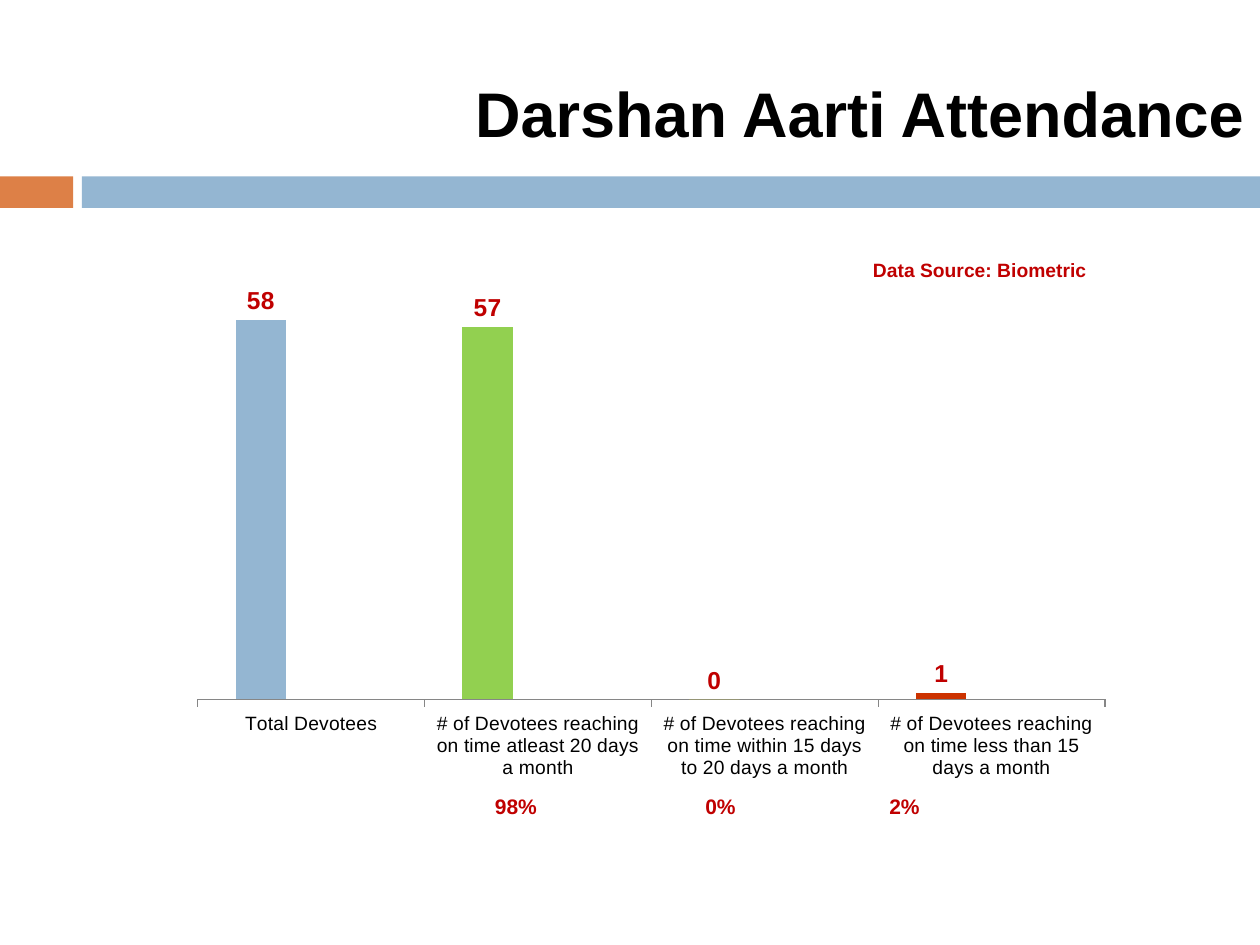
from pptx import Presentation
from pptx.chart.data import CategoryChartData
from pptx.dml.color import RGBColor
from pptx.enum.chart import XL_CHART_TYPE, XL_LABEL_POSITION, XL_TICK_MARK
from pptx.enum.shapes import MSO_SHAPE
from pptx.enum.text import MSO_ANCHOR, PP_ALIGN
from pptx.util import Inches, Pt

BLACK = RGBColor(0, 0, 0)
GRAY = RGBColor(0x86, 0x86, 0x86)
BLUE = RGBColor(0x94, 0xB6, 0xD2)
ORANGE = RGBColor(0xDD, 0x80, 0x47)
SAGE = RGBColor(0xA5, 0xAB, 0x81)
GREEN = RGBColor(0x92, 0xD0, 0x50)
YELLOW = RGBColor(0xFF, 0xFF, 0x00)
RED = RGBColor(0xCC, 0x33, 0x00)
DARK = RGBColor(0xC0, 0, 0)


class Page:
    face = "Arial"

    def __init__(self, deck):
        self.slide = deck.slides.add_slide(deck.slide_layouts[5])
        self.shapes = self.slide.shapes

    def style(self, font, size, color, bold=False, face=face):
        font.name, font.size, font.bold = face, Pt(size), bold
        font.color.rgb = color

    def fill(self, part, color):
        part.fill.solid()
        part.fill.fore_color.rgb = color

    def add_text(self, box, text, size, color):
        frame = box.text_frame
        frame.word_wrap = False
        para = frame.paragraphs[0]
        para.alignment = PP_ALIGN.LEFT
        run = para.add_run()
        run.text = text
        self.style(run.font, size, color, True)

    def title(self, text, x, y, w, h):
        box = self.shapes.title
        box.left, box.top, box.width, box.height = map(Inches, (x, y, w, h))
        box.text_frame.vertical_anchor = MSO_ANCHOR.MIDDLE
        self.add_text(box, text, 36, BLACK)

    def band(self, color, x, w):
        bar = self.shapes.add_shape(
            MSO_SHAPE.RECTANGLE, Inches(x), Inches(1.4), Inches(w), Inches(0.25))
        bar.shadow.inherit = False
        self.fill(bar, color)
        bar.line.fill.background()

    def label(self, text, size, x, y, w, h):
        box = self.shapes.add_textbox(*map(Inches, (x, y, w, h)))
        self.add_text(box, text, size, DARK)

    def chart(self, cats, series, points, x, y, w, h):
        data = CategoryChartData()
        data.categories = cats
        for name, vals, _ in series:
            data.add_series(name, vals)
        chart = self.shapes.add_chart(
            XL_CHART_TYPE.COLUMN_CLUSTERED, *map(Inches, (x, y, w, h)), data).chart
        chart.has_legend = chart.has_title = False
        self.style(chart.font, 18, BLACK, face="Cabin")

        # Axes
        axis = chart.value_axis
        axis.visible = axis.has_major_gridlines = False
        axis.minimum_scale, axis.maximum_scale = 0, 70
        axis = chart.category_axis
        axis.major_tick_mark = XL_TICK_MARK.OUTSIDE
        axis.format.line.color.rgb = GRAY
        self.style(axis.tick_labels.font, 11, BLACK)

        # Bars
        plot = chart.plots[0]
        plot.gap_width, plot.overlap = 150, 0
        plot.vary_by_categories = False
        for bars, (_, _, color) in zip(plot.series, series):
            self.fill(bars.format, color)
        first = plot.series[0]
        for i, color in points.items():
            self.fill(first.points[i].format, color)

        # Values above the bars
        labels = first.data_labels
        labels.show_value = True
        labels.position = XL_LABEL_POSITION.OUTSIDE_END
        self.style(labels.font, 14, DARK, True)


def main():
    deck = Presentation()
    deck.slide_width, deck.slide_height = Inches(10), Inches(7.5)
    page = Page(deck)

    # Heading
    page.band(ORANGE, 0, 0.58)
    page.band(BLUE, 0.65, 9.35)
    page.title("Darshan Aarti Attendance", 3.67, 0.54, 6.36, 0.71)

    # Attendance chart
    reach = "# of Devotees reaching on time "
    spans = ["atleast 20 days", "within 15 days to 20 days", "less than 15 days"]
    cats = ["Total Devotees"] + [f"{reach}{span} a month" for span in spans]
    blank = [None] * len(cats)
    series = [("Series 1", [58, 57, 0, 1], BLUE),
              ("Series 2", blank, ORANGE),
              ("Series 3", blank, SAGE)]
    page.chart(cats, series, {1: GREEN, 2: YELLOW, 3: RED}, 1.42, 1.83, 7.5, 4.44)

    # Shares and source
    for text, x, w in [("98%", 3.83, 0.54), ("0%", 5.5, 0.44), ("2%", 6.96, 0.44)]:
        page.label(text, 12, x, 6.25, w, 0.3)
    page.label("Data Source: Biometric", 11, 6.83, 2, 1.91, 0.29)

    deck.save("out.pptx")


if __name__ == "__main__":
    main()
